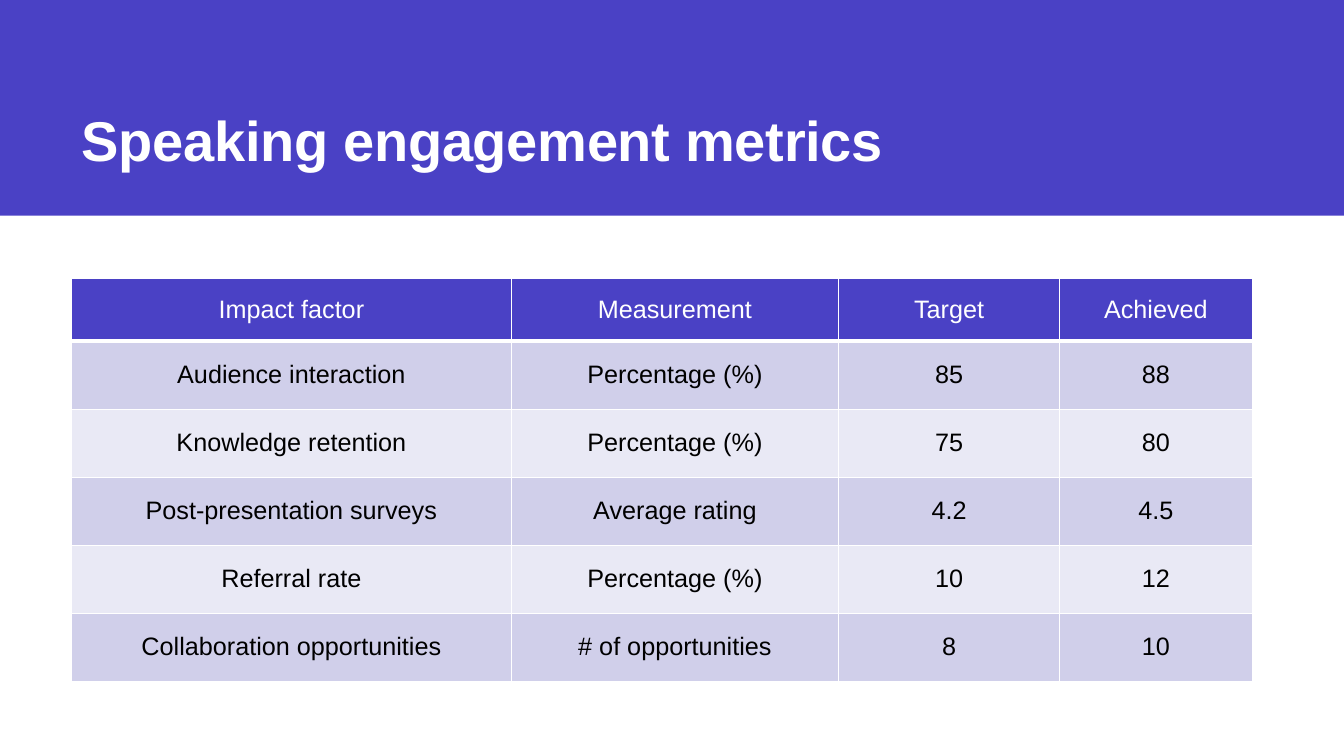
from pptx import Presentation
from pptx.dml.color import RGBColor
from pptx.enum.shapes import MSO_SHAPE
from pptx.enum.text import MSO_ANCHOR, PP_ALIGN
from pptx.oxml import parse_xml
from pptx.oxml.ns import nsdecls
from pptx.util import Inches, Pt

INDIGO = RGBColor(0x4A, 0x41, 0xC5)
LAVENDER = RGBColor(0xD0, 0xCF, 0xEA)
PALE_LAVENDER = RGBColor(0xE9, 0xE9, 0xF5)
WHITE = RGBColor(0xFF, 0xFF, 0xFF)
BLACK = RGBColor(0x00, 0x00, 0x00)

# Grid of 100 columns by 100 rows; all lengths below are in these units
LEFT_MARGIN = 5.33
COLUMN_WIDTHS = [32.7, 24.38, 16.43, 14.33]
HEADER_HEIGHT, BODY_HEIGHT = 8.33, 9

METRICS = [
    ("Impact factor", "Measurement", "Target", "Achieved"),
    ("Audience interaction", "Percentage (%)", "85", "88"),
    ("Knowledge retention", "Percentage (%)", "75", "80"),
    ("Post-presentation surveys", "Average rating", "4.2", "4.5"),
    ("Referral rate", "Percentage (%)", "10", "12"),
    ("Collaboration opportunities", "# of opportunities", "8", "10"),
]


class SlideBuilder:
    font_name = "Arial"
    title_format = {"size": Pt(40), "bold": True}
    cell_format = {"size": Pt(18), "bold": False}

    def __init__(self, deck):
        self.column = deck.slide_width / 100
        self.row = deck.slide_height / 100
        self.slide = deck.slides.add_slide(deck.slide_layouts[6])

    def box(self, left, top, width, height):
        return (round(left * self.column), round(top * self.row),
                round(width * self.column), round(height * self.row))

    def add_text(self, frame, text, color, values, align):
        paragraph = frame.paragraphs[0]
        paragraph.alignment = align
        run = paragraph.add_run()
        run.text = text
        for name, value in {"name": self.font_name, **values}.items():
            setattr(run.font, name, value)
        run.font.color.rgb = color
        return run

    def band(self, *place):
        band = self.slide.shapes.add_shape(MSO_SHAPE.RECTANGLE, *self.box(*place))
        band.shadow.inherit = False
        band.fill.solid()
        band.fill.fore_color.rgb = INDIGO
        band.line.fill.background()

    def title(self, text, *place):
        frame = self.slide.shapes.add_textbox(*self.box(*place)).text_frame
        frame.word_wrap = True
        frame.vertical_anchor = MSO_ANCHOR.BOTTOM
        heading = self.add_text(frame, text, WHITE, self.title_format, PP_ALIGN.LEFT)
        heading.font._element.set("spc", "-20")

    def borders(self, cell, bottom_width):
        properties = cell._tc.get_or_add_tcPr()
        widths = {"lnL": 1, "lnR": 1, "lnT": 1, "lnB": bottom_width}
        for position, (side, width) in enumerate(widths.items()):
            properties.insert(position, parse_xml(
                f'<a:{side} {nsdecls("a")} w="{Pt(width)}"><a:solidFill>'
                f'<a:srgbClr val="{WHITE}"/></a:solidFill></a:{side}>'))

    def table(self, records, left, top, widths, heights):
        place = self.box(left, top, sum(widths), sum(heights))
        table = self.slide.shapes.add_table(len(records), len(widths), *place).table
        for column, width in zip(table.columns, widths):
            column.width = round(width * self.column)
        for row, height in zip(table.rows, heights):
            row.height = round(height * self.row)
        for index, record in enumerate(records):
            is_header = index == 0
            band_color = LAVENDER if index % 2 else PALE_LAVENDER
            for cell, text in zip(table.rows[index].cells, record):
                cell.vertical_anchor = MSO_ANCHOR.MIDDLE
                cell.fill.solid()
                cell.fill.fore_color.rgb = INDIGO if is_header else band_color
                self.add_text(cell.text_frame, text, WHITE if is_header else BLACK,
                              self.cell_format, PP_ALIGN.CENTER)
                self.borders(cell, 3 if is_header else 1)


def main():
    deck = Presentation()
    deck.slide_width, deck.slide_height = Inches(13.33), Inches(7.5)
    builder = SlideBuilder(deck)

    # Title band
    builder.band(0, 0, 100, 28.53)
    builder.title("Speaking engagement metrics", LEFT_MARGIN, 5.33, 88.43, 18.13)

    # Metrics table
    heights = [HEADER_HEIGHT] + [BODY_HEIGHT] * (len(METRICS) - 1)
    builder.table(METRICS, LEFT_MARGIN, 36.8, COLUMN_WIDTHS, heights)

    deck.save("out.pptx")


if __name__ == "__main__":
    main()
